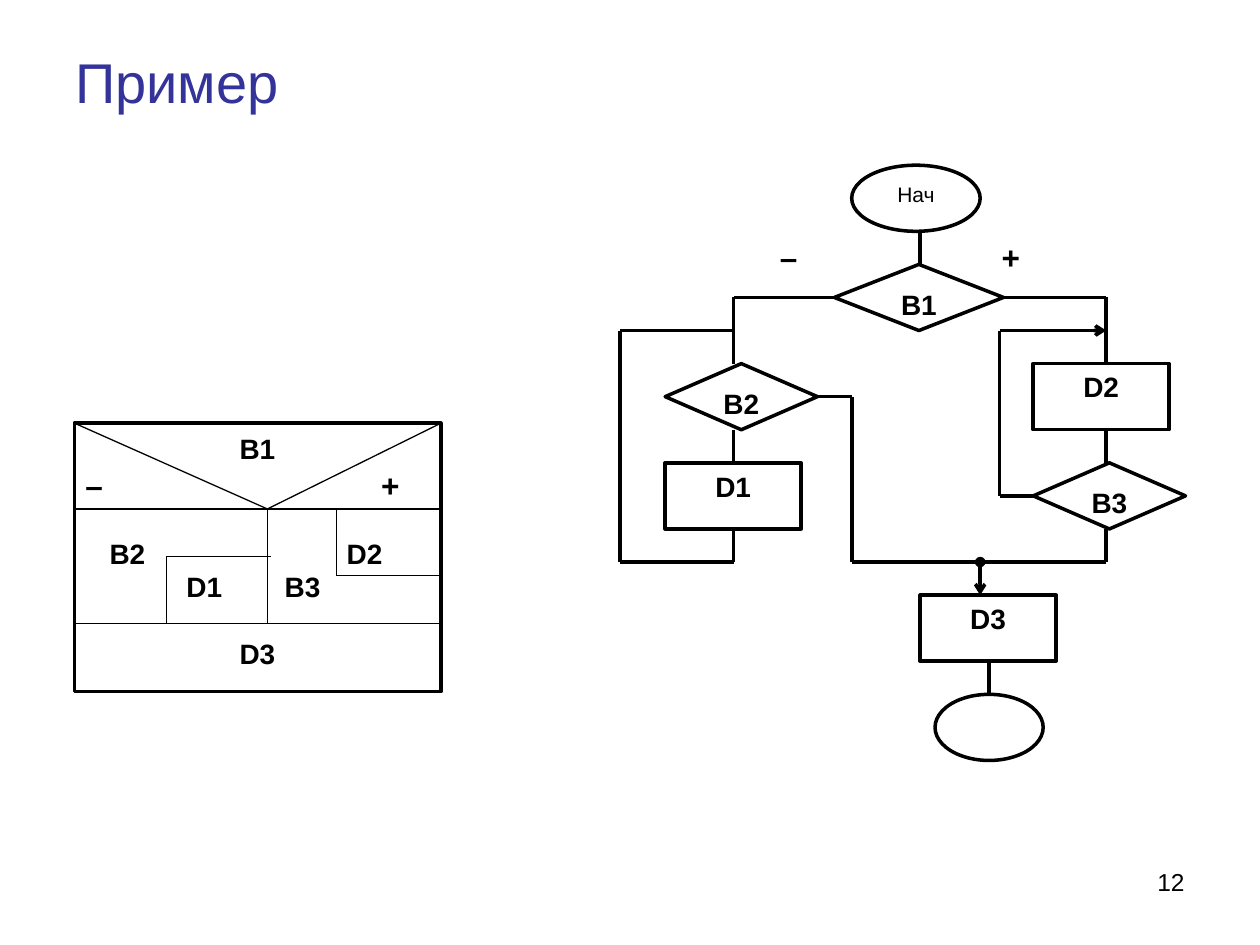
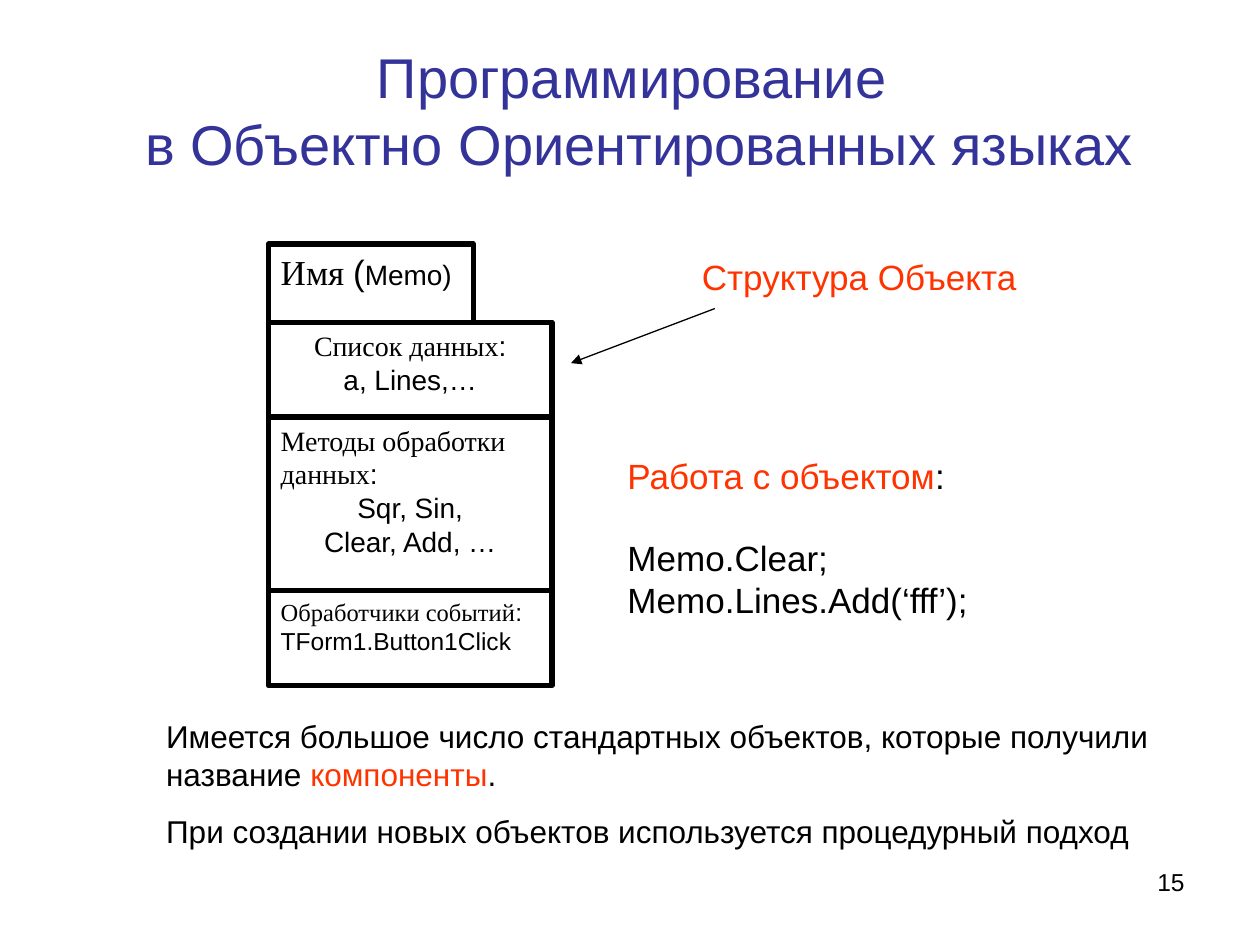
from dataclasses import dataclass
from itertools import pairwise

from lxml.etree import SubElement
from pptx import Presentation
from pptx.dml.color import RGBColor
from pptx.enum.shapes import MSO_CONNECTOR as Connector, MSO_SHAPE as Preset
from pptx.enum.text import MSO_ANCHOR as Anchor, PP_ALIGN as Align
from pptx.oxml.ns import qn
from pptx.util import Cm, Pt


@dataclass(frozen=True)
class Theme:
    ink: str = "000000"
    paper: str = "FFFFFF"
    title: str = "333399"
    accent: str = "FF3300"
    sans: str = "Arial"
    serif: str = "Times New Roman"
    title_size: int = 32
    lead_size: int = 20
    body_size: int = 18
    label_size: int = 16
    small_size: int = 14
    tiny_size: int = 12
    thin: float = 0.75
    medium: float = 2
    thick: float = 3


THEME = Theme()


@dataclass(frozen=True)
class Box:
    """A rectangle in centimetres."""
    left: float
    top: float
    width: float
    height: float

    def inner(self, left, top, width, height):
        return Box(self.left + left, self.top + top, width, height)

    def point(self, x, y):
        return self.left + x, self.top + y

    def lengths(self):
        return Cm(self.left), Cm(self.top), Cm(self.width), Cm(self.height)


@dataclass(frozen=True)
class Run:
    text: str
    size: int = THEME.label_size
    font: str = THEME.sans
    color: str = THEME.ink
    bold: bool = False


@dataclass(frozen=True)
class Line:
    runs: tuple
    align: Align = Align.LEFT
    before: float = 0
    indent: float = 0


def line(text, align=Align.LEFT, before=0, indent=0, **style):
    return Line((Run(text, **style),), align, before, indent)


# Shared drawing helpers
def fill_text(shape, lines, anchor=Anchor.TOP):
    frame = shape.text_frame
    frame.word_wrap = True
    frame.vertical_anchor = anchor
    for index, item in enumerate(lines):
        paragraph = frame.add_paragraph() if index else frame.paragraphs[0]
        if item.indent:
            paragraph._p.get_or_add_pPr().set("marL", str(Cm(item.indent)))
        paragraph.alignment = item.align
        if item.before:
            paragraph.space_before = Pt(item.before)
        for piece in item.runs:
            run = paragraph.add_run()
            run.text = piece.text
            run.font.size = Pt(piece.size)
            run.font.name = piece.font
            run.font.bold = piece.bold
            run.font.color.rgb = RGBColor.from_string(piece.color)


def add_text(slide, box, lines, anchor=Anchor.TOP):
    fill_text(slide.shapes.add_textbox(*box.lengths()), lines, anchor)


def add_node(slide, preset, box, lines=(), weight=THEME.medium):
    shape = slide.shapes.add_shape(preset, *box.lengths())
    shape.shadow.inherit = False
    shape.fill.solid()
    shape.fill.fore_color.rgb = RGBColor.from_string(THEME.paper)
    shape.line.color.rgb = RGBColor.from_string(THEME.ink)
    shape.line.width = Pt(weight)
    fill_text(shape, lines)


def add_route(slide, box, points, weight, tail=None):
    """Join the points one after another; the tail mark ends the last piece."""
    corners = [box.point(*point) for point in points]
    for start, end in pairwise(corners):
        connector = slide.shapes.add_connector(
            Connector.STRAIGHT, *(Cm(value) for value in start + end))
        connector.line.color.rgb = RGBColor.from_string(THEME.ink)
        connector.line.width = Pt(weight)
        properties = connector._element.spPr
        if tail and end == corners[-1]:
            SubElement(properties.find(qn("a:ln")), qn("a:tailEnd"), type=tail)
        SubElement(properties, qn("a:effectLst"))


def add_frame(presentation, title_box, title_lines, number):
    """Start a slide with its title and page number."""
    slide = presentation.slides.add_slide(presentation.slide_layouts[6])
    add_text(slide, title_box, title_lines, Anchor.MIDDLE)
    add_text(slide, Box(18.21, 17.35, 5.92, 1.32),
             [line(number, Align.RIGHT, size=THEME.small_size)])
    return slide


def title_line(text, **layout):
    return line(text, size=THEME.title_size, color=THEME.title, **layout)


# Nested block diagram
def add_block_diagram(slide, box):
    add_node(slide, Preset.RECTANGLE, box)
    condition, bottom, middle = 1.73, 4.04, 3.89
    right = box.width
    routes = [
        [(0, bottom), (right, bottom)],
        [(0, condition), (right, condition)],
        [(0, 0), (middle, condition), (right, 0)],
        [(middle, condition), (middle, bottom)],
        [(5.28, condition), (5.28, 3.07), (right, 3.07)],
        [(1.85, bottom), (1.85, 2.69), (3.96, 2.69)],
    ]
    for points in routes:
        add_route(slide, box, points, THEME.thin)

    # Labels are centred on the given points
    label_width, label_height = 1.4, 0.8
    labels = [
        ("B1", 3.69, 0.5), ("–", 0.4, 1.25), ("+", 6.37, 1.25),
        ("B2", 1.07, 2.62), ("D2", 5.85, 2.62),
        ("D1", 2.62, 3.29), ("B3", 4.6, 3.29), ("D3", 3.69, 4.64),
    ]
    for text, x, y in labels:
        size = THEME.body_size if text in "–+" else THEME.label_size
        place = box.inner(x - label_width / 2, y - label_height / 2,
                          label_width, label_height)
        add_text(slide, place, [line(text, Align.CENTER, size=size, bold=True)],
                 Anchor.MIDDLE)


# Flowchart on a grid of 18 equal rows
def add_flowchart(slide, box):
    row = box.height / 18
    left_branch, right_branch = 2.29, 9.8
    left_exit, right_loop = 4.67, 7.65
    trunk, junction, end_stem = 6.05, 7.26, 7.44

    # Nodes: preset, text, left, first row, width
    nodes = [
        (Preset.OVAL, "Нач", 4.67, 0, 2.59),
        (Preset.FLOWCHART_DECISION, "B1", 4.32, 3, 3.41),
        (Preset.FLOWCHART_DECISION, "B2", 0.91, 6, 3.07),
        (Preset.RECTANGLE, "D1", 0.91, 9, 2.74),
        (Preset.RECTANGLE, "D2", 8.33, 6, 2.74),
        (Preset.FLOWCHART_DECISION, "B3", 8.33, 9, 3.07),
        (Preset.RECTANGLE, "D3", 6.05, 13, 2.74),
        (Preset.OVAL, "", 6.35, 16, 2.18),
    ]
    for preset, text, left, first_row, width in nodes:
        style = {"size": THEME.tiny_size} if preset == Preset.OVAL else {"bold": True}
        lines = [line(text, Align.CENTER, **style)] if text else []
        add_node(slide, preset, box.inner(left, first_row * row, width, 2 * row), lines)

    # Routes: corners as (x, row), tail mark
    routes = [
        ([(trunk, 2), (trunk, 3)], None),
        ([(4.32, 4), (left_branch, 4), (left_branch, 6)], None),
        ([(7.73, 4), (right_branch, 4), (right_branch, 6)], None),
        ([(left_branch, 8), (left_branch, 9)], None),
        ([(left_branch, 11), (left_branch, 12), (0, 12), (0, 5), (left_branch, 5)], None),
        ([(right_branch, 8), (right_branch, 9)], None),
        ([(8.33, 10), (right_loop, 10), (right_loop, 5), (right_branch, 5)], "arrow"),
        ([(right_branch, 11), (right_branch, 12), (junction, 12)], None),
        ([(3.98, 7), (left_exit, 7), (left_exit, 12), (junction, 12)], "oval"),
        ([(junction, 12), (junction, 13)], "arrow"),
        ([(end_stem, 15), (end_stem, 16)], None),
    ]
    for corners, tail in routes:
        points = [(x, grid_row * row) for x, grid_row in corners]
        add_route(slide, box, points, THEME.medium, tail)

    # Branch signs
    for sign, left in (("–", 2.97), ("+", 7.44)):
        add_text(slide, box.inner(left, 2 * row, 1.37, 2 * row),
                 [line(sign, size=THEME.body_size, bold=True)])


# Object card made of stacked cells
def add_object_card(slide, box):
    serif = THEME.serif
    small, lead = THEME.small_size, THEME.lead_size
    cells = [
        (4.13, 1.58, [Line((Run("Имя ", lead, serif), Run("(", lead), Run("Memo)")))]),
        (box.width, 1.91, [
            Line((Run("Список данных", font=serif), Run(":")), Align.CENTER),
            line("a, Lines,…", Align.CENTER)]),
        (box.width, 3.5, [
            Line((Run("Методы обработки данных", font=serif), Run(":"))),
            line("Sqr, Sin,", Align.CENTER),
            line("Clear, Add, …", Align.CENTER)]),
        (box.width, 1.91, [
            Line((Run("Обработчики событий", small, serif), Run(":", small))),
            line("TForm1.Button1Click", size=small)]),
    ]
    top = 0
    for width, height, lines in cells:
        add_node(slide, Preset.RECTANGLE, box.inner(0, top, width, height),
                 lines, THEME.thick)
        top += height


# Captions beside the card
def add_object_notes(slide, box):
    lead, accent = THEME.lead_size, THEME.accent
    add_text(slide, box.inner(1.5, 0, 7.44, 1.27),
             [line("Структура Объекта", size=lead, color=accent)])
    add_route(slide, box, [(2.01, 1.19), (-0.89, 2.29)], THEME.thin, "triangle")
    add_text(slide, box.inner(0, 4.01, 7.92, 4.47), [
        Line((Run("Работа с объектом", lead, color=accent), Run(":", lead))),
        line("Memo.Clear;", before=23, size=lead),
        line("Memo.Lines.Add(‘fff’);", size=lead),
    ])


# Closing remarks
def add_remarks(slide, box):
    size = THEME.body_size
    add_text(slide, box, [
        Line((Run("Имеется большое число стандартных объектов, "
                  "которые получили название ", size),
              Run("компоненты", size, color=THEME.accent),
              Run(".", size))),
        line("При создании новых объектов используется процедурный подход",
             before=11.2, size=size),
    ])


def add_example_slide(presentation):
    slide = add_frame(presentation, Box(1.27, 0.76, 4.8, 1.75),
                      [title_line("Пример")], "12")
    add_block_diagram(slide, Box(1.5, 8.53, 7.39, 5.41))
    add_flowchart(slide, Box(12.5, 3.33, 11.4, 12))


def add_objects_slide(presentation):
    title = [title_line("Программирование", align=Align.CENTER),
             title_line("в Объектно Ориентированных языках",
                        align=Align.CENTER, indent=0.31)]
    slide = add_frame(presentation, Box(1.27, 0.76, 22.94, 2.9), title, "15")
    add_object_card(slide, Box(5.41, 4.92, 5.72, 8.9))
    add_object_notes(slide, Box(12.4, 5.03, 8.94, 8.48))
    add_remarks(slide, Box(3.1, 14.33, 20.4, 2.95))


def main():
    presentation = Presentation()
    presentation.slide_width = Cm(25.4)
    presentation.slide_height = Cm(19.05)
    add_example_slide(presentation)
    add_objects_slide(presentation)
    presentation.save("out.pptx")


if __name__ == "__main__":
    main()
